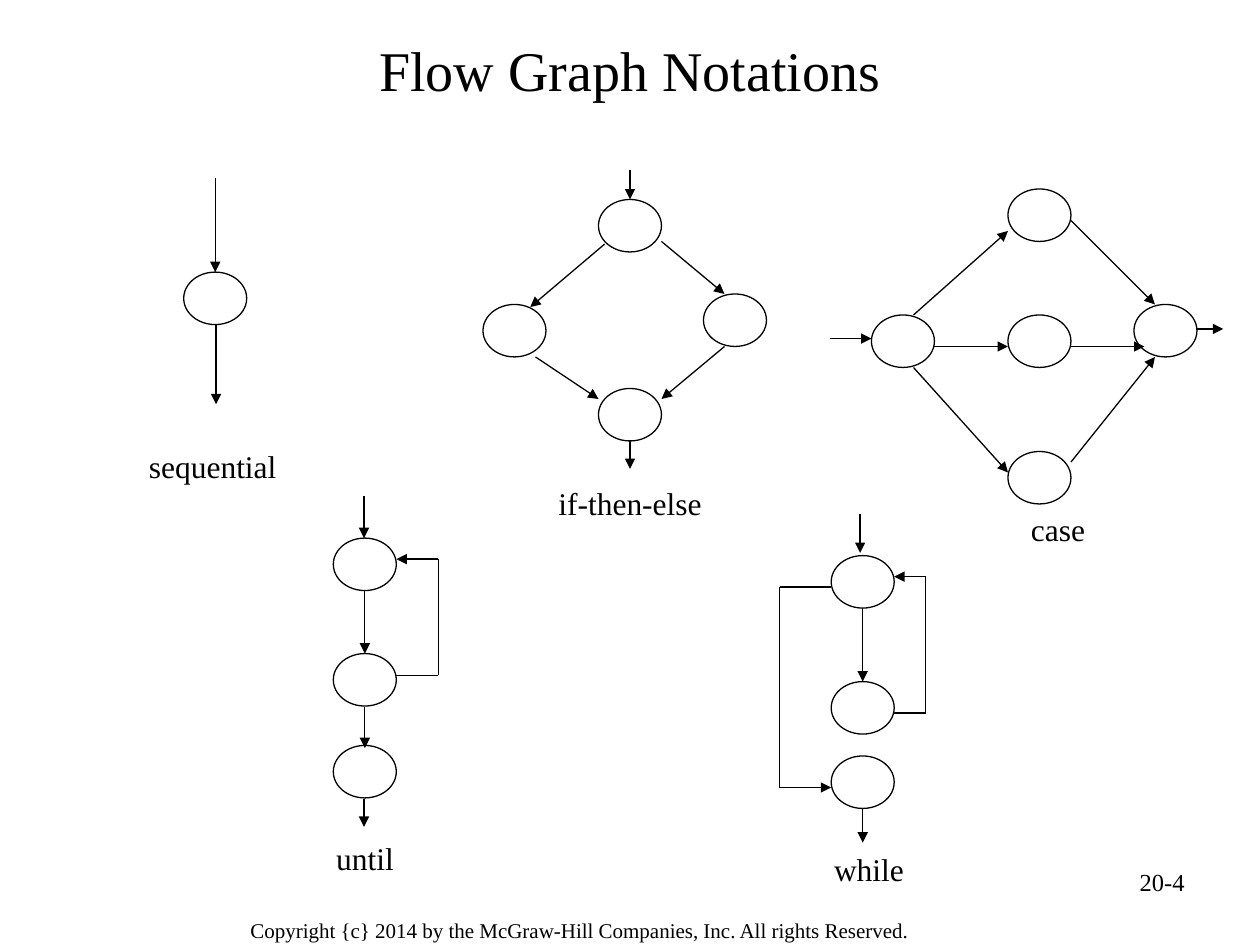
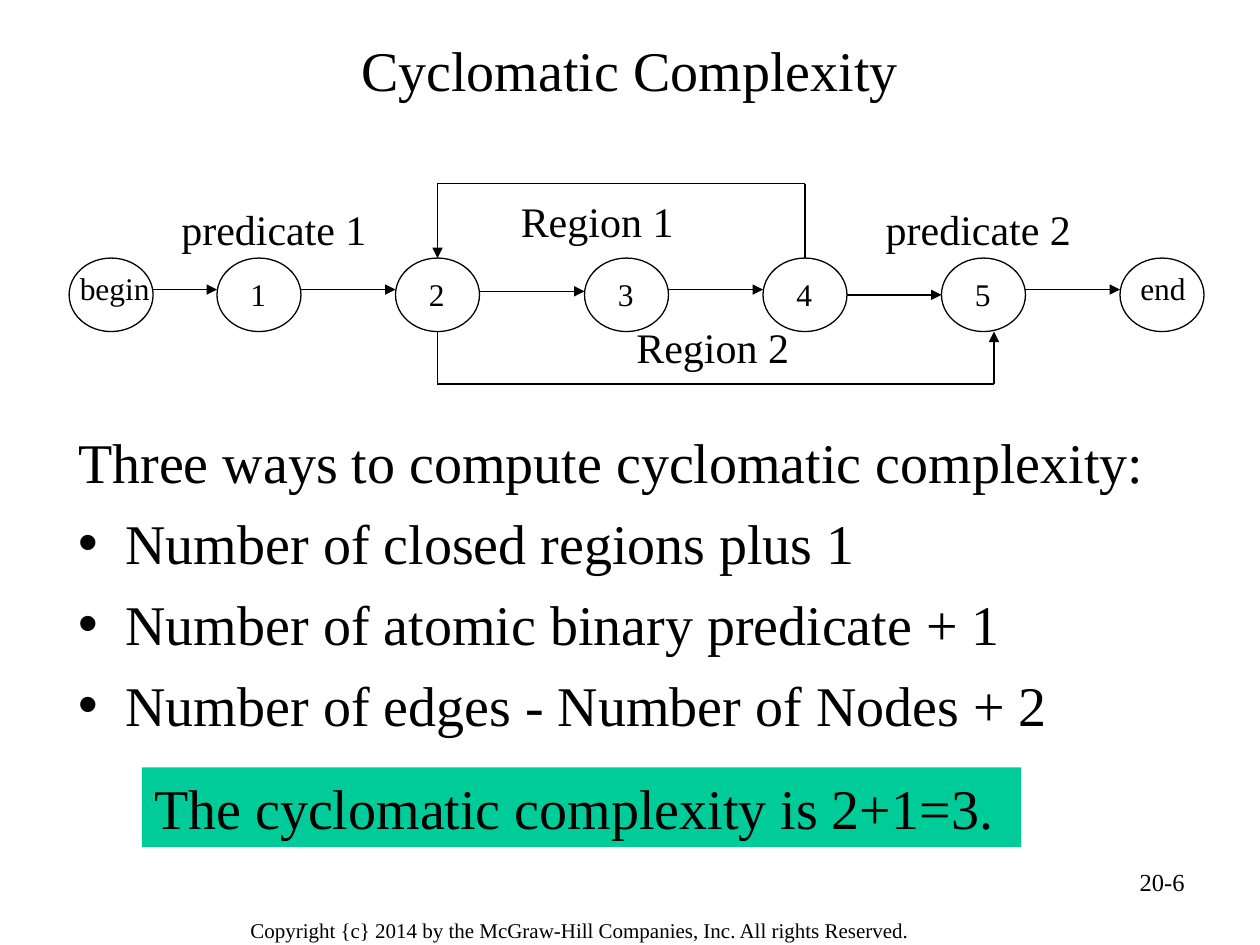
from itertools import pairwise

from lxml import etree
from pptx import Presentation
from pptx.dml.color import RGBColor
from pptx.enum import shapes, text
from pptx.oxml import ns
from pptx.util import Pt

BLACK = RGBColor(0x00, 0x00, 0x00)
GREEN = RGBColor(0x00, 0xCC, 0x99)
FACE = "Times New Roman"
RIGHT = text.PP_ALIGN.RIGHT
COPY = "Copyright {c} 2014 by the McGraw-Hill Companies, Inc. All rights Reserved."


def style(frame, size):
    """Give every run of a frame the shared face and colour."""
    for para in frame.paragraphs:
        for run in para.runs:
            run.font.name = FACE
            run.font.size = Pt(size)
            run.font.color.rgb = BLACK


def write(slide, words, box, size):
    shape = slide.shapes.add_textbox(*map(Pt, box))
    shape.text_frame.word_wrap = True
    shape.text_frame.text = words
    style(shape.text_frame, size)
    return shape


# Flow graphs: nodes by left and top, paths by their corner points
flow_nodes = [
    (105, 155.5),
    (342, 114), (276, 174), (402, 168), (342, 222),
    (498, 180), (576, 108), (576, 180), (576, 258), (648, 174),
    (190.5, 307.5), (190.5, 373.5), (190.5, 426),
    (475, 317.5), (475, 389.5), (475, 432),
]
flow_paths = [
    # sequential
    [(123, 101.5), (123, 155.5)],
    [(123.5, 186), (123.5, 231)],
    # if-then-else
    [(360, 97), (360, 114)],
    [(345.5, 139.5), (303, 175.5)],
    [(378, 138), (414, 168)],
    [(306, 204), (342, 228)],
    [(414, 198), (378, 228)],
    [(360, 251.5), (360, 268)],
    # case
    [(474.5, 193.5), (498, 193.5)],
    [(522, 180), (576, 132)],
    [(534, 198), (576, 198)],
    [(522, 210), (576, 270)],
    [(612, 126), (660, 174)],
    [(612, 198), (654, 198)],
    [(612, 264), (660, 204)],
    [(683.5, 188), (699, 188)],
    # until
    [(208, 283.5), (208, 307.5)],
    [(208.5, 337.5), (208.5, 373.5)],
    [(208.5, 404), (208.5, 427.5)],
    [(226.5, 386), (250.5, 386), (250.5, 319.5), (226.5, 319.5)],
    [(208, 456.5), (208, 472.5)],
    # while
    [(491.5, 294), (491.5, 316)],
    [(493, 347.5), (493, 389.5)],
    [(511, 407.5), (529, 407.5), (529, 329.5), (511, 329.5)],
    [(475, 335.5), (445.5, 335.5), (445.5, 450), (475, 450)],
    [(493, 461.5), (493, 481.5)],
]
flow_labels = [
    ("sequential", 78, 252, 100, 18),
    ("if-then-else", 312, 273, 110, 18),
    ("case", 582, 288, 60, 18),
    ("until", 185, 476, 60, 18),
    ("while", 469.5, 482, 70, 18),
]

# Cyclomatic graph: one row of nodes, each joined to the next
lefts = [39.5, 124, 226, 334, 436, 538, 640]
row_nodes = [(left, 147.5) for left in lefts]
heights = [165.5, 165.5, 166.5, 165.5, 168.5, 165.5]
row_paths = [
    [(a + 48, y), (b, y)] for (a, b), y in zip(pairwise(lefts), heights)
]
row_paths += [
    [(250, 189.5), (250, 219.5), (568, 219.5), (568, 189.5)],
    [(460, 147.5), (460, 105), (250, 105), (250, 147.5)],
]
row_labels = [
    (str(num), left + 12, 153.5, 30, 18)
    for num, left in enumerate(lefts[1:-1], 1)
]
row_labels += [
    ("begin", 38.5, 150, 70, 18),
    ("end", 644.5, 150, 55, 18),
    ("Region 1", 290.5, 108, 120, 24),
    ("Region 2", 356.5, 180, 120, 24),
    ("predicate 1", 96.5, 113, 140, 24),
    ("predicate 2", 499, 112.5, 140, 24),
]

# Title, page number, layout, node size, nodes, paths, labels
pages = [
    ("Flow Graph Notations", "20-4", 5, (36, 30),
     flow_nodes, flow_paths, flow_labels),
    ("Cyclomatic Complexity", "20-6", 1, (48, 42),
     row_nodes, row_paths, row_labels),
]

deck = Presentation()
deck.slide_width, deck.slide_height = Pt(720), Pt(540)

for name, page, layout, size, nodes, paths, labels in pages:
    slide = deck.slides.add_slide(deck.slide_layouts[layout])
    title = slide.shapes.title
    title.left, title.top, title.width, title.height = map(Pt, (36, 13, 648, 52.5))
    title.text_frame.text = name
    title.text_frame.auto_size = text.MSO_AUTO_SIZE.NONE
    style(title.text_frame, 32)

    write(slide, COPY, (136, 520.5, 445.5, 19.5), 12)
    number = write(slide, page, (516, 492, 168, 37.5), 14)
    number.text_frame.paragraphs[0].alignment = RIGHT

    for spot in nodes:
        node = slide.shapes.add_shape(
            shapes.MSO_SHAPE.OVAL, *map(Pt, spot + size))
        node.shadow.inherit = False
        node.fill.background()
        node.line.color.rgb = BLACK
        node.line.width = Pt(0.75)

    for path in paths:
        for start, end in pairwise(path):
            line = slide.shapes.add_connector(
                shapes.MSO_CONNECTOR.STRAIGHT, *map(Pt, start + end))
            line.line.color.rgb = BLACK
            line.line.width = Pt(0.75)
            props = line.element.spPr
            etree.SubElement(props, ns.qn("a:effectLst"))
        # The last stretch of a path carries the arrowhead
        etree.SubElement(
            props.find(ns.qn("a:ln")), ns.qn("a:tailEnd"), type="triangle")

    for words, left, top, width, points in labels:
        write(slide, words, (left, top, width, points * 1.15 + 8), points)

# Body list and result on the last slide
body = slide.placeholders[1]
body.left, body.top, body.width, body.height = map(Pt, (37.5, 240.5, 654.5, 188.5))
frame = body.text_frame
frame.text = "\n".join([
    "Three ways to compute cyclomatic complexity:",
    "Number of closed regions plus 1",
    "Number of atomic binary predicate + 1",
    "Number of edges - Number of Nodes + 2",
])
frame.auto_size = text.MSO_AUTO_SIZE.NONE
for para in frame.paragraphs:
    para.space_before = Pt(8)
lead = frame.paragraphs[0]
lead.space_before = Pt(0)
etree.SubElement(lead._p.get_or_add_pPr(), ns.qn("a:buNone"))
style(frame, 32)

result = write(slide, "The cyclomatic complexity is 2+1=3.",
               (81, 438.5, 502.5, 45.5), 32)
result.fill.solid()
result.fill.fore_color.rgb = GREEN

deck.save("out.pptx")
